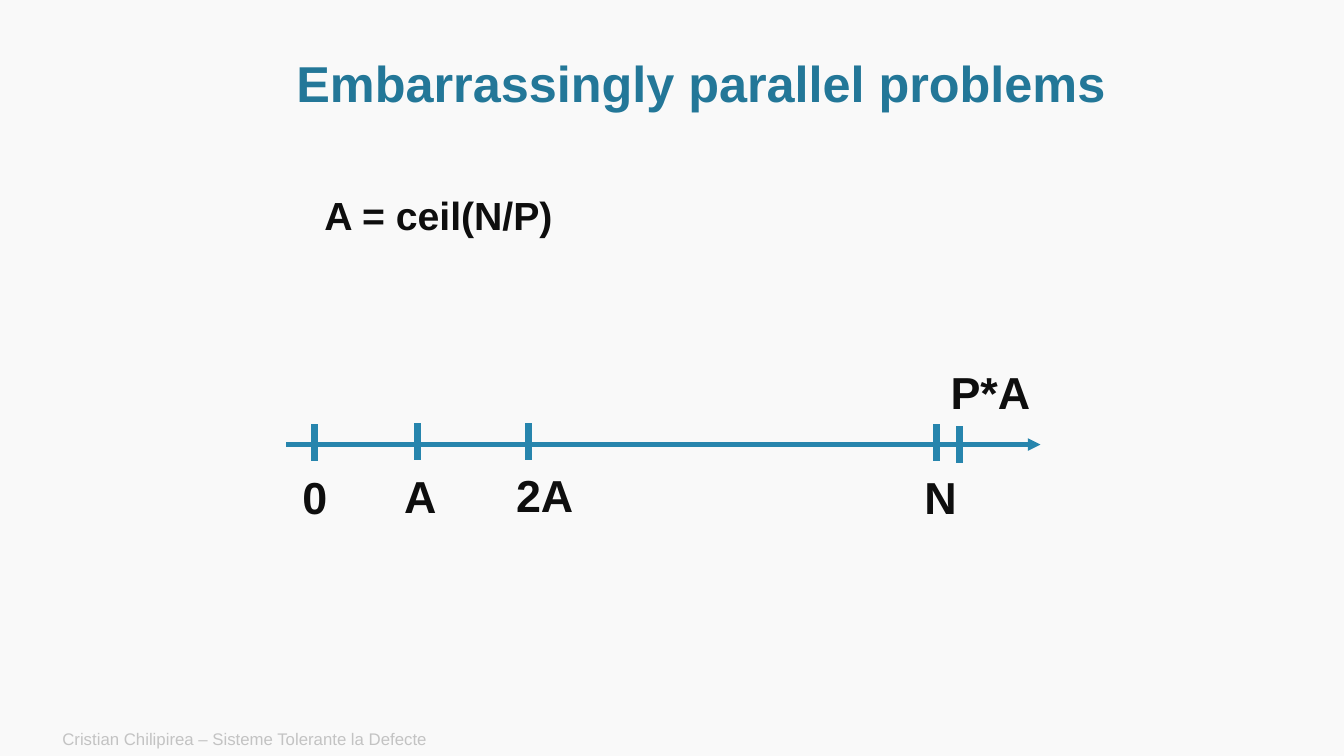
"""Build the slide on splitting N items among P workers in chunks of A."""
from lxml.etree import SubElement
from pptx import Presentation
from pptx.dml.color import RGBColor
from pptx.enum.shapes import MSO_CONNECTOR
from pptx.enum.text import MSO_ANCHOR as ANCHOR, MSO_AUTO_SIZE as AUTO_SIZE, PP_ALIGN as ALIGN
from pptx.oxml.ns import qn
from pptx.util import Inches, Pt

INK = "0E0E0E"
LINE = "2785AD"


def add_text(text, left, top, width, height, size, color, bold=True, wrap=False):
    box = slide.shapes.add_textbox(Inches(left), Inches(top), Inches(width), Inches(height))
    frame = box.text_frame
    frame.word_wrap = wrap
    frame.auto_size = AUTO_SIZE.NONE if wrap else AUTO_SIZE.SHAPE_TO_FIT_TEXT
    frame.vertical_anchor = ANCHOR.MIDDLE if wrap else ANCHOR.TOP
    run = frame.paragraphs[0].add_run()
    run.text = text
    run.font.name = "Arial"
    run.font.size = Pt(size)
    run.font.bold = bold
    run.font.color.rgb = RGBColor.from_string(color)
    return frame.paragraphs[0]


def add_line(x1, y1, x2, y2, weight):
    line = slide.shapes.add_connector(
        MSO_CONNECTOR.STRAIGHT, Inches(x1), Inches(y1), Inches(x2), Inches(y2))
    line.line.color.rgb = RGBColor.from_string(LINE)
    line.line.width = Pt(weight)
    SubElement(line._element.spPr, qn("a:effectLst"))
    return line


deck = Presentation()
deck.slide_width, deck.slide_height = Inches(13.33), Inches(7.5)
slide = deck.slides.add_slide(deck.slide_layouts[6])
slide.background.fill.solid()
slide.background.fill.fore_color.rgb = RGBColor.from_string("F9F9F9")

add_text("Cristian Chilipirea – Sisteme Tolerante la Defecte",
         0.52, 7.16, 8.4, 0.34, 12, "C3C3C3", bold=False, wrap=True)
title = add_text("Embarrassingly parallel problems",
                 1.14, 0.51, 11.63, 0.69, 36, "237798", wrap=True)
title.alignment = ALIGN.CENTER
title.line_spacing = 0.9
add_text("A = ceil(N/P)", 3.12, 1.85, 2.6, 0.57, 28, INK)

axis = add_line(2.84, 4.41, 10.32, 4.41, 3)
SubElement(axis.line._get_or_add_ln(), qn("a:tailEnd"), type="triangle")

marks = [
    ("0", 3.12, 4.21, 2.9, 4.61, 0.45),
    ("A", 4.14, 4.2, 3.91, 4.6, 0.53),
    ("2A", 5.24, 4.2, 5.02, 4.59, 0.78),
    ("N", 9.29, 4.21, 9.07, 4.61, 0.53),
    ("P*A", 9.52, 4.23, 9.33, 3.57, 1),
]
for label, tick_x, tick_top, label_left, label_top, label_width in marks:
    add_line(tick_x, tick_top, tick_x, tick_top + 0.36, 5)
    add_text(label, label_left, label_top, label_width, 0.64, 32, INK)

deck.save("out.pptx")
